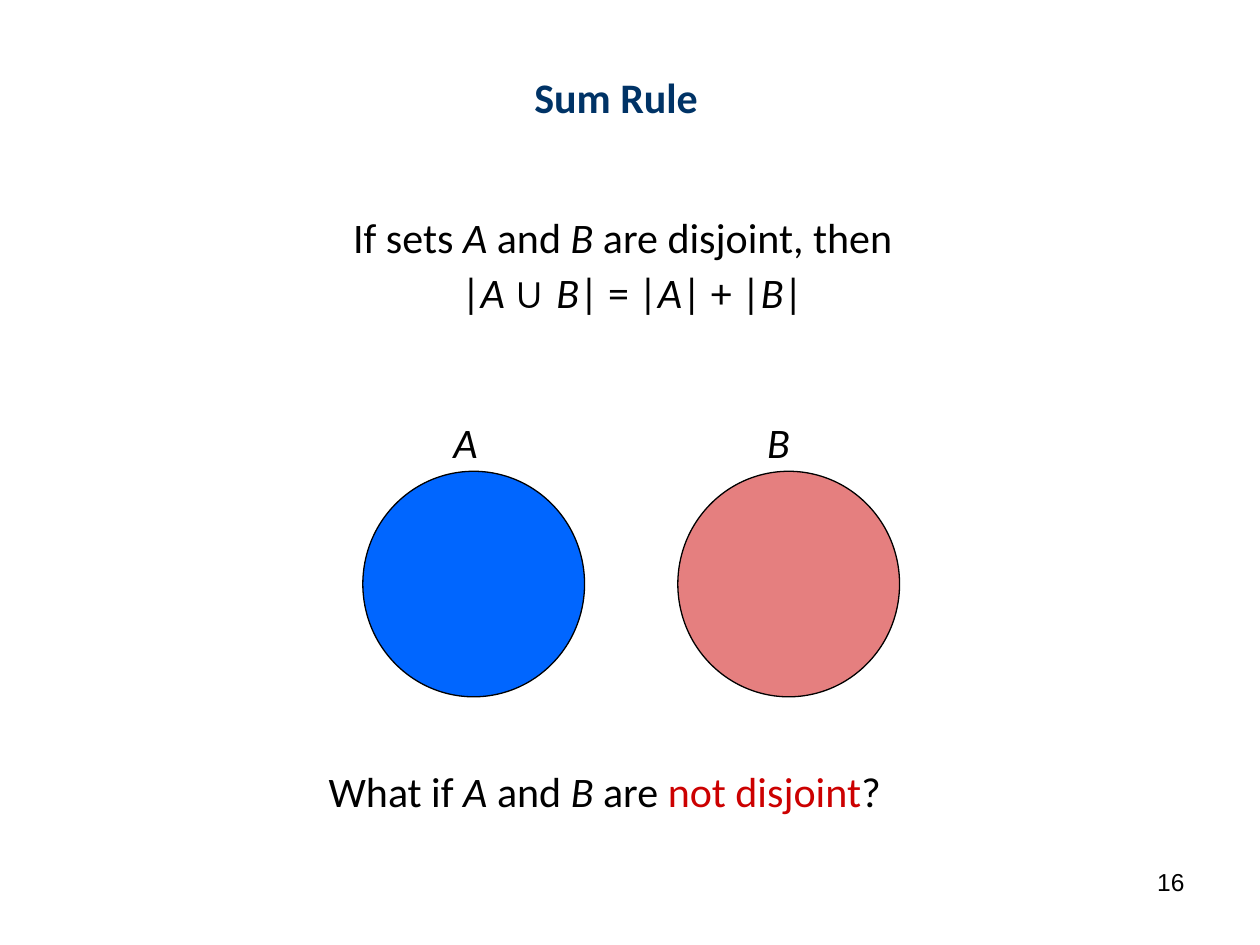
"""Build the Sum Rule slide with two disjoint sets."""
import dataclasses

import lxml.etree
import pptx
import pptx.dml.color
import pptx.enum.shapes
import pptx.enum.text
import pptx.oxml.ns
import pptx.util

Inches = pptx.util.Inches
Color = pptx.dml.color.RGBColor.from_string
Align = pptx.enum.text.PP_ALIGN


@dataclasses.dataclass(frozen=True)
class Theme:
    ink: str = "000000"
    heading: str = "003366"
    blue: str = "0066FF"
    red: str = "CC0000"
    font: str = "Calibri"
    plain_font: str = "Arial"
    text_size: int = 24
    number_size: int = 14
    outline: float = 0.75


theme = Theme()


def write(para, pieces, align=Align.LEFT):
    """Fill a paragraph with (text, style) pieces."""
    para.alignment = align
    for text, style in pieces:
        span = para.add_run()
        span.text = text
        span.font.name = style.get("font", theme.font)
        span.font.size = pptx.util.Pt(style.get("size", theme.text_size))
        span.font.color.rgb = Color(style.get("color", theme.ink))
        span.font.italic = style.get("italic", False)
        span.font.bold = style.get("bold", False)


def place(box, left, top, width, height, wrap=True):
    """Position a text shape and return its first paragraph."""
    box.left, box.top = Inches(left), Inches(top)
    box.width, box.height = Inches(width), Inches(height)
    frame = box.text_frame
    frame.word_wrap = wrap
    frame.auto_size = pptx.enum.text.MSO_AUTO_SIZE.NONE
    frame.vertical_anchor = pptx.enum.text.MSO_ANCHOR.TOP
    return frame.paragraphs[0]


deck = pptx.Presentation()
deck.slide_width, deck.slide_height = Inches(10), Inches(7.5)
page = deck.slides.add_slide(deck.slide_layouts[1])
plain, italic = {}, {"italic": True}

title = place(page.shapes.title, 4.14, 0.52, 1.75, 0.5, wrap=False)
write(title, [("Sum Rule", {"color": theme.heading, "bold": True})])

body = page.placeholders[1]
statement = place(body, 1.05, 1.67, 7.86, 1.92)
formula = body.text_frame.add_paragraph()
write(statement, [("If sets ", plain), ("A", italic), (" and ", plain),
                  ("B", italic), (" are disjoint, then ", plain)], Align.CENTER)
write(formula, [(" |", plain), ("A ", italic), ("∪ ", {"font": theme.plain_font}),
                ("B", italic), ("| = |", plain), ("A", italic), ("| + |", plain),
                ("B", italic), ("|", plain)], Align.CENTER)
for para in (statement, formula):
    para.line_spacing = 0.9
    para.space_before = pptx.util.Pt(6)
    properties = para._p.get_or_add_pPr()
    properties.set("marL", str(Inches(0.38)))
    properties.set("indent", str(Inches(-0.38)))
    lxml.etree.SubElement(properties, pptx.oxml.ns.qn("a:buNone"))

sets = [("A", 2.88, 3.5, theme.blue, 100), ("B", 5.38, 5.99, theme.red, 50)]
for name, left, label_left, color, opacity in sets:
    circle = page.shapes.add_shape(pptx.enum.shapes.MSO_SHAPE.OVAL, Inches(left),
                                   Inches(3.74), Inches(1.76), Inches(1.79))
    circle.shadow.inherit = False
    circle.fill.solid()
    circle.fill.fore_color.rgb = Color(color)
    circle.line.color.rgb = Color(theme.ink)
    circle.line.width = pptx.util.Pt(theme.outline)
    if opacity < 100:
        tint = circle._element.spPr.find(".//" + pptx.oxml.ns.qn("a:srgbClr"))
        alpha = lxml.etree.SubElement(tint, pptx.oxml.ns.qn("a:alpha"))
        alpha.set("val", str(opacity * 1000))
    label = page.shapes.add_textbox(0, 0, 0, 0)
    write(place(label, label_left, 3.26, 0.4, 0.5, wrap=False), [(name, italic)])

question = place(page.shapes.add_textbox(0, 0, 0, 0), 2.01, 6.03, 6, 0.5)
write(question, [("What if", plain), (" A", italic), (" and ", plain),
                 ("B", italic), (" are ", plain),
                 ("not disjoint", {"color": theme.red}), ("?", plain)])
question.space_before = pptx.util.Pt(6)
question._p.get_or_add_pPr().set("marL", str(Inches(0.5)))

number = place(page.shapes.add_textbox(0, 0, 0, 0), 7.17, 6.83, 2.33, 0.52)
write(number, [("16", {"font": theme.plain_font, "size": theme.number_size})],
      Align.RIGHT)

deck.save("out.pptx")
